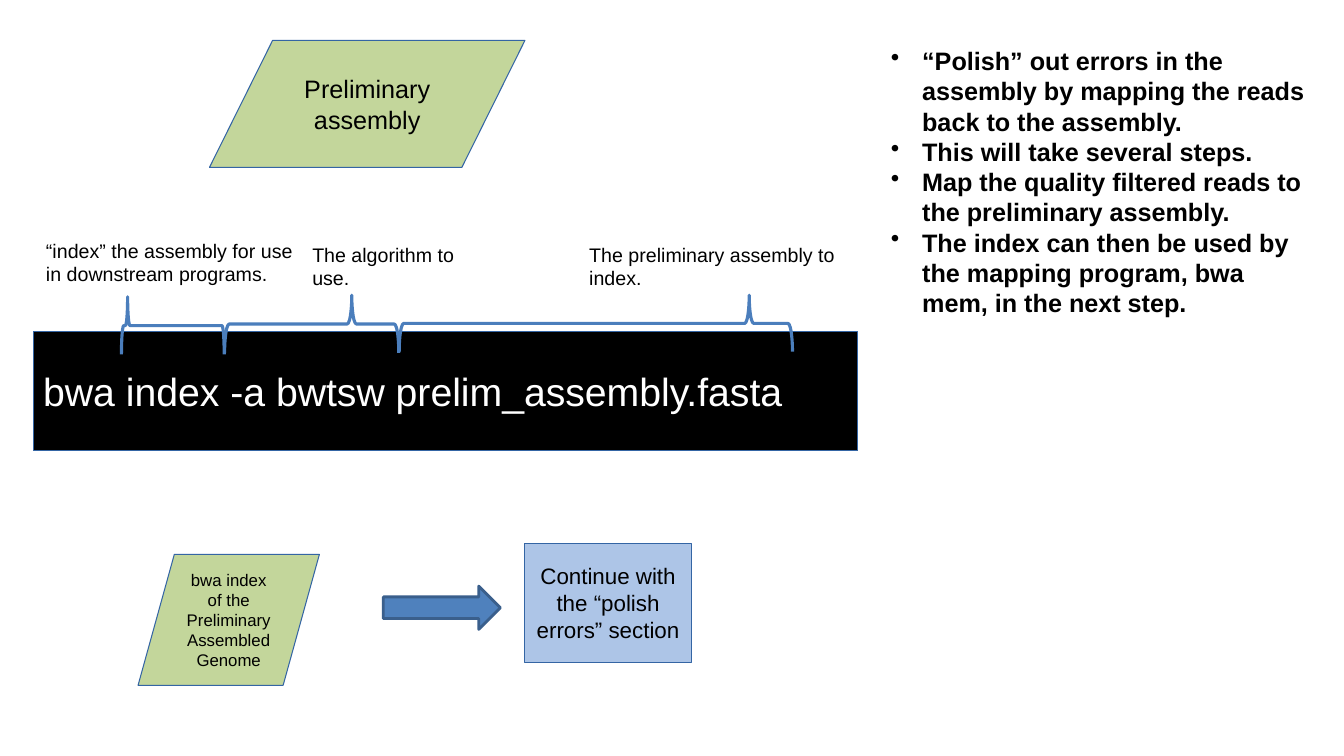
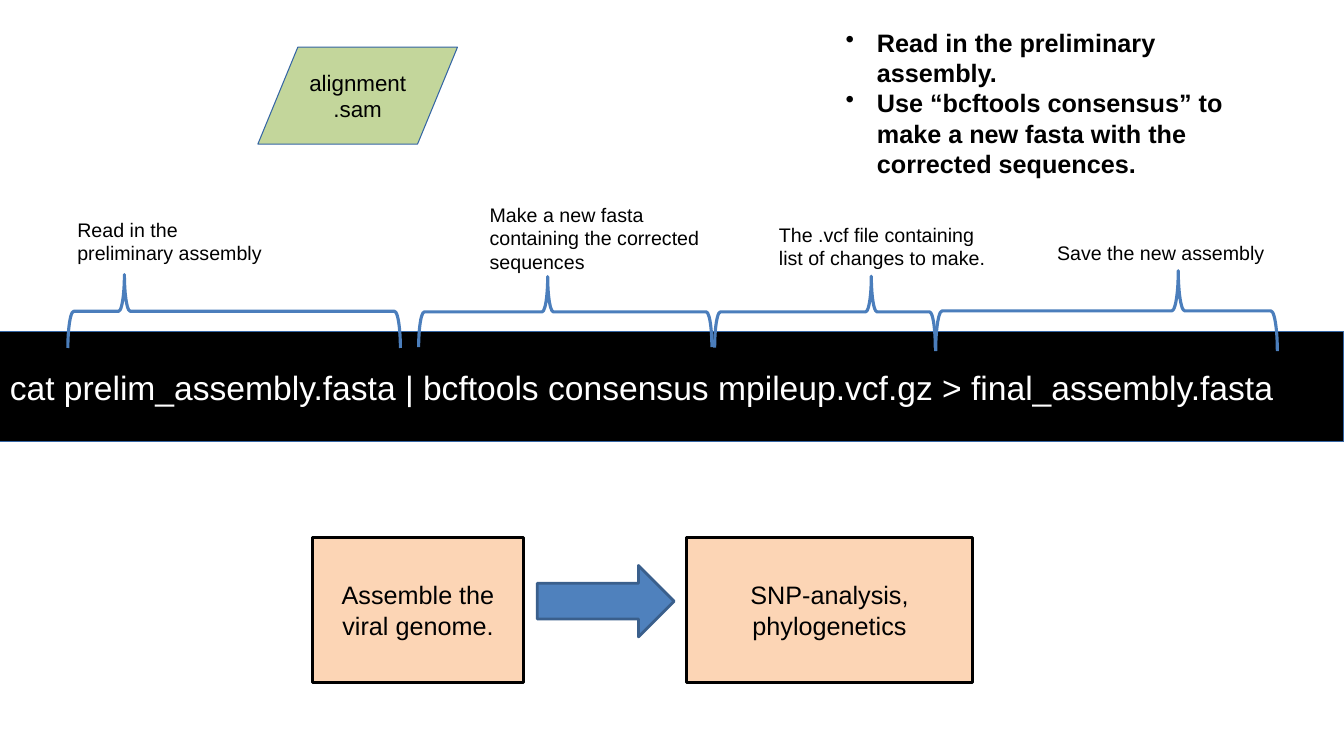
import pptx
import pptx.dml.color
import pptx.enum.shapes
import pptx.enum.text
import pptx.oxml
import pptx.oxml.ns
import pptx.util

Cm = pptx.util.Cm
Pt = pptx.util.Pt
RGBColor = pptx.dml.color.RGBColor
SHAPE = pptx.enum.shapes.MSO_SHAPE
ALIGN = pptx.enum.text.PP_ALIGN
ANCHOR = pptx.enum.text.MSO_ANCHOR

# Shared style
FONT = "Arial"
BLACK = RGBColor(0x00, 0x00, 0x00)
WHITE = RGBColor(0xFF, 0xFF, 0xFF)
GREEN = RGBColor(0xC3, 0xD6, 0x9B)
LIGHT_BLUE = RGBColor(0xAD, 0xC5, 0xE7)
PEACH = RGBColor(0xFC, 0xD5, 0xB5)
OUTLINE = RGBColor(0x34, 0x65, 0xA4)
BRACE_BLUE = RGBColor(0x4B, 0x7E, 0xBC)
ARROW_BLUE = RGBColor(0x4F, 0x81, 0xBD)
ARROW_EDGE = RGBColor(0x3A, 0x5F, 0x8C)
BULLET_INDENT = Cm(0.79)


def add_shape(slide, kind, box, fill=None, line=OUTLINE, width=0.75):
    """Add a preset shape; box is left, top, width, height in centimetres."""
    shape = slide.shapes.add_shape(kind, *[Cm(length) for length in box])
    shape.shadow.inherit = False
    if fill is None:
        shape.fill.background()
    else:
        shape.fill.solid()
        shape.fill.fore_color.rgb = fill
    shape.line.color.rgb = line
    shape.line.width = Pt(width)
    return shape


def write_text(shape, *texts, size=18, color=BLACK, bold=False, bullet=False,
               align=ALIGN.LEFT, anchor=ANCHOR.MIDDLE):
    """Write one paragraph per text into the shape."""
    frame = shape.text_frame
    frame.word_wrap = True
    frame.vertical_anchor = anchor
    for index, text in enumerate(texts):
        paragraph = frame.add_paragraph() if index else frame.paragraphs[0]
        paragraph.alignment = align
        if bullet:
            properties = paragraph._p.get_or_add_pPr()
            properties.set("marL", str(BULLET_INDENT))
            properties.set("indent", str(-BULLET_INDENT))
            properties.append(pptx.oxml.parse_xml(
                f'<a:buChar {pptx.oxml.ns.nsdecls("a")} char="•"/>'))
        run = paragraph.add_run()
        run.text = text
        run.font.name = FONT
        run.font.size = Pt(size)
        run.font.bold = bold
        run.font.color.rgb = color


# Content: boxes are left, top, width, height in centimetres.
# Parts: caption, caption box, brace box, brace tip (share of width), curve.
# Blocks: text, shape kind, box, fill, text size, line colour, line width.
steps = [
    {
        "command": "bwa index -a bwtsw prelim_assembly.fasta",
        "command_size": 28,
        "band": (0.84, 8.36, 20.78, 3),
        "bullets": [
            "“Polish” out errors in the assembly by mapping the reads back to the assembly.",
            "This will take several steps.",
            "Map the quality filtered reads to the preliminary assembly.",
            "The index can then be used by the mapping program, bwa mem, in the next step.",
        ],
        "bullets_box": (22.2, 1.02, 11.13, 3.76),
        "parts": [
            ("“index” the assembly for use in downstream programs.",
             (0.91, 5.89, 6.91, 1.45), (3.06, 7.48, 2.59, 1.45), 0.06, 0.04),
            ("The algorithm to use.",
             (7.62, 5.99, 4.47, 1.45), (5.66, 7.44, 4.39, 1.45), 0.73, 0.08),
            ("The preliminary assembly to index.",
             (14.6, 5.99, 6.81, 1.45), (10.06, 7.44, 9.91, 1.42), 0.89, 0.08),
        ],
        "blocks": [
            ("Preliminary assembly", SHAPE.FLOWCHART_DATA,
             (5.28, 1.02, 7.95, 3.2), GREEN, 18, OUTLINE, 0.75),
            ("bwa index of the Preliminary Assembled Genome", SHAPE.FLOWCHART_DATA,
             (3.48, 13.97, 4.57, 3.3), GREEN, 12, OUTLINE, 0.75),
            ("Continue with the “polish errors” section", SHAPE.RECTANGLE,
             (13.23, 13.69, 4.19, 3), LIGHT_BLUE, 16, OUTLINE, 0.75),
        ],
        "arrow": (9.66, 14.77, 2.95, 1.09),
    },
    {
        "command": "cat prelim_assembly.fasta | bcftools consensus mpileup.vcf.gz > final_assembly.fasta",
        "command_size": 24,
        "band": (0, 8.36, 33.87, 2.77),
        "bullets": [
            "Read in the preliminary assembly.",
            "Use “bcftools consensus” to make a new fasta with the corrected sequences.",
        ],
        "bullets_box": (21.06, 0.56, 11.13, 3.76),
        "parts": [
            ("Read in the preliminary assembly",
             (1.7, 5.36, 5.41, 1.45), (1.71, 6.92, 8.38, 1.85), 0.17, 0.08),
            ("Make a new fasta containing the corrected sequences",
             (12.09, 4.98, 6.17, 2.06), (10.55, 6.97, 7.39, 1.78), 0.44, 0.08),
            ("The .vcf file containing list of changes to make.",
             (19.38, 5.49, 5.74, 1.45), (18.01, 6.96, 5.56, 1.8), 0.71, 0.08),
            ("Save the new assembly",
             (26.39, 5.94, 6.17, 0.86), (23.58, 6.82, 8.61, 2.03), 0.71, 0.08),
        ],
        "blocks": [
            ("alignment.sam", SHAPE.FLOWCHART_DATA,
             (6.5, 1.19, 5.03, 2.44), GREEN, 16, OUTLINE, 0.75),
            ("Assemble the viral genome.", SHAPE.RECTANGLE,
             (7.87, 13.54, 5.33, 3.66), PEACH, 18, BLACK, 2),
            ("SNP-analysis, phylogenetics", SHAPE.RECTANGLE,
             (17.3, 13.54, 7.21, 3.66), PEACH, 18, BLACK, 2),
        ],
        "arrow": (13.54, 14.25, 3.45, 1.8),
    },
]

presentation = pptx.Presentation()
presentation.slide_width = Cm(33.87)
presentation.slide_height = Cm(19.05)
blank_layout = presentation.slide_layouts[6]

for step in steps:
    slide = presentation.slides.add_slide(blank_layout)

    # Command band
    band = add_shape(slide, SHAPE.RECTANGLE, step["band"], BLACK)
    write_text(band, step["command"], size=step["command_size"], color=WHITE)

    # Explanation
    bullets_box = slide.shapes.add_textbox(*[Cm(length) for length in step["bullets_box"]])
    write_text(bullets_box, *step["bullets"], bold=True, bullet=True, anchor=ANCHOR.TOP)

    # Braces over the parts of the command, with their captions
    for caption, caption_box, brace_box, tip, curve in step["parts"]:
        left, top, width, height = brace_box
        # A left brace turned by 90 degrees about its centre points up
        shift = (width - height) / 2
        brace = add_shape(slide, SHAPE.LEFT_BRACE,
                          (left + shift, top - shift, height, width),
                          line=BRACE_BLUE, width=2.25)
        brace.rotation = 90
        brace.adjustments[0] = curve
        brace.adjustments[1] = 1 - tip
        caption_shape = slide.shapes.add_textbox(*[Cm(length) for length in caption_box])
        write_text(caption_shape, caption, size=14, anchor=ANCHOR.TOP)

    # Input, result and next step
    for text, kind, box, fill, size, line, line_width in step["blocks"]:
        block = add_shape(slide, kind, box, fill, line, line_width)
        write_text(block, text, size=size, align=ALIGN.CENTER)
    add_shape(slide, SHAPE.RIGHT_ARROW, step["arrow"], ARROW_BLUE, ARROW_EDGE, 2)

presentation.save("out.pptx")
